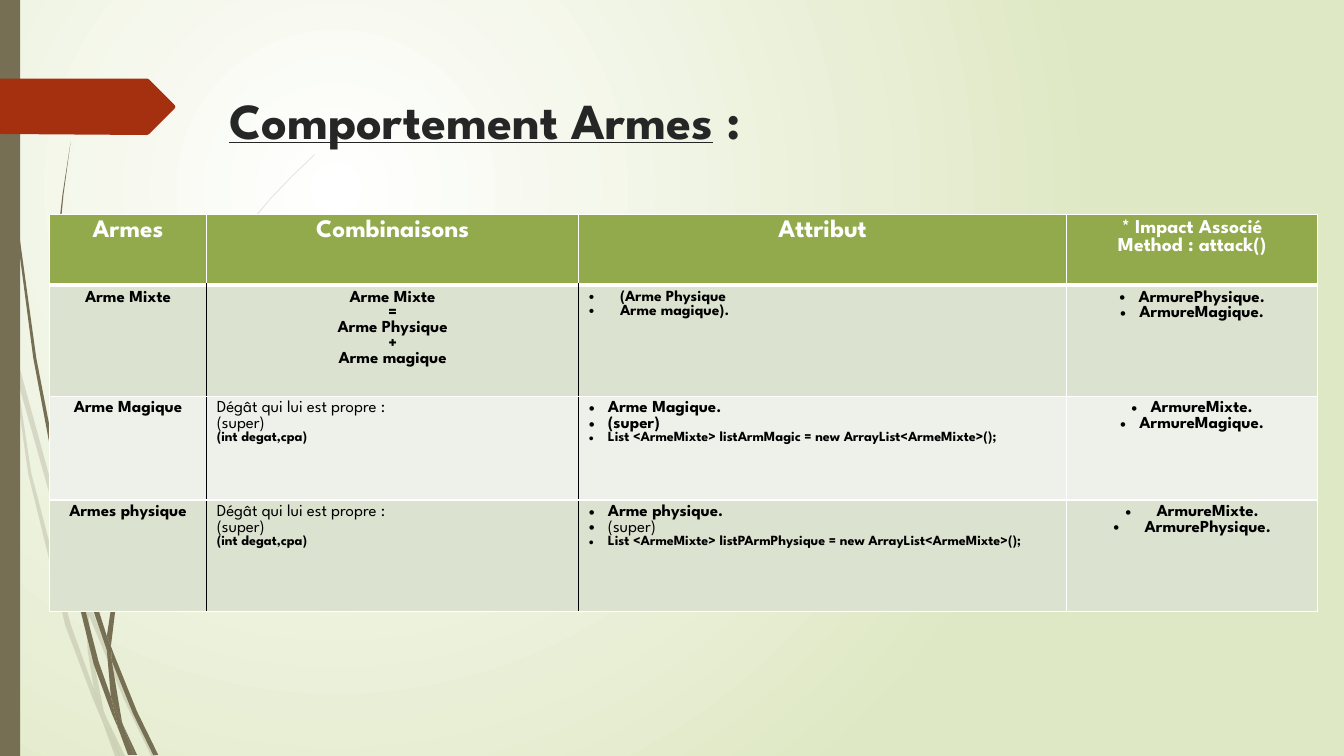
from dataclasses import dataclass

from lxml import etree
from pptx import Presentation
from pptx.dml.color import RGBColor
from pptx.enum.shapes import MSO_SHAPE
from pptx.enum.text import MSO_ANCHOR, MSO_AUTO_SIZE, PP_ALIGN
from pptx.oxml.ns import qn
from pptx.util import Inches, Pt

RECTANGLE = MSO_SHAPE.RECTANGLE
BOTTOM = MSO_ANCHOR.BOTTOM
NO_AUTOFIT = MSO_AUTO_SIZE.NONE
LEFT, CENTER = PP_ALIGN.LEFT, PP_ALIGN.CENTER
TITLE_ONLY = 5


@dataclass(frozen=True)
class Theme:
    font: str = "League Spartan"
    title: str = "262626"
    text: str = "000000"
    white: str = "FFFFFF"
    glow_edge: str = "DFE8C4"
    stem: str = "766F54"
    arrow: str = "A53010"
    header: str = "92AA4C"
    bands: tuple = ("DCE2D0", "EEF1E9")
    title_size: int = 36
    header_size: int = 18
    subheader_size: int = 14
    body_size: int = 12
    list_size: int = 11
    code_size: int = 10


THEME = Theme()
SLIDE_SIZE = (13.33, 7.5)
TITLE_BOX = (1.03, 0.8, 7.56, 0.73)
TABLE_CORNER = (0.49, 2.13)
COLUMNS = (1.56, 3.69, 4.84, 2.49)
ROWS = (0.7, 1.1, 1.03, 1.11)
NARROW, WIDE = 0.19, 0.31  # bullet indents

ARROW = "0,.78 1.46,.78 1.48,.79 1.73,1.04 1.74,1.06 1.73,1.08 1.48,1.33 1.46,1.34 0,1.33"

# Outlines of the stems, in inches
PALE_STEMS = (
    ".11,3.5 .09,3.22 0,2.82 0,2.99 .1,3.44",
    ".58,5.22 .84,5.99 .85,5.86 .62,5.2 .14,3.45 .17,3.76",
    ".92,6.07 .88,5.96 .88,6.1 1.23,6.94 1.5,7.5 1.55,7.5 1.27,6.92",
    "1.19,7.5 1.24,7.5 1.05,7.11",
    ".93,6.83 .7,6.19 .31,4.69 .17,3.76 .11,3.5 .28,4.7 .65,6.21 .92,6.93 1.01,7.14 .99,7.07",
    ".84,5.99 .87,6.46 .93,6.83 .96,6.92 1.05,7.11 1.03,7.06 .91,6.46 .88,6.1 .88,6.08",
    ".88,5.84 .96,5.22 1.1,4.62 1.33,4.04 1.6,3.49 1.93,2.95 2.29,2.45 2.68,1.98 2.9,1.75 "
    "3.12,1.54 3.12,1.53 2.89,1.75 2.68,1.97 2.28,2.44 1.91,2.94 1.58,3.48 1.3,4.03 "
    "1.07,4.61 .92,5.21 .85,5.84 .85,5.86 .88,5.96",
    "1.01,7.14 1.14,7.5 1.19,7.5",
    ".88,6.08 .88,6.1 .88,5.96 .85,5.86 .84,5.99",
    ".96,6.92 .93,6.83 .99,7.07 1.01,7.14 1.19,7.5 1.05,7.11",
)
DARK_STEMS = (
    ".07,1.1 .17,2.33 .33,3.55 .56,4.77 .57,4.81 .55,4.57 .55,4.53 .36,3.55 .19,2.32 "
    ".08,1.09 .05,.48 .04,0 .03,0 .04,.48",
    ".88,5.92 1.06,6.45 1.06,6.31 .93,5.9 .6,4.72 .64,5.05",
    "1.13,6.49 1.1,6.41 1.11,6.56 1.32,7.08 1.52,7.49 1.57,7.49 1.36,7.06",
    "1.1,6.91 .98,6.57 .72,5.56 .64,5.05 .57,4.77 .68,5.57 .93,6.59 1.11,7.08 1.17,7.22 1.16,7.17",
    ".6,4.72 .58,4.53 .54,3.49 .58,2.45 .63,1.93 .7,1.41 .62,1.93 .56,2.45 .52,3.49 .55,4.49",
    "1.33,7.49 1.36,7.49 1.22,7.19",
    ".57,4.77 .64,5.05 .6,4.72 .55,4.49 .55,4.53",
    "1.11,6.33 1.16,5.92 1.25,5.52 1.4,5.13 1.58,4.76 1.8,4.4 2.05,4.06 2.31,3.74 2.45,3.59 "
    "2.61,3.44 2.6,3.44 2.45,3.58 2.31,3.73 2.04,4.05 1.78,4.39 1.56,4.74 1.37,5.12 "
    "1.22,5.51 1.12,5.91 1.06,6.31 1.1,6.41",
    "1.17,7.22 1.27,7.49 1.31,7.49",
    "1.06,6.45 1.1,6.91 1.16,7.06 1.22,7.19 1.21,7.16 1.11,6.56 1.09,6.51",
    "1.06,6.45 1.09,6.51 1.11,6.56 1.1,6.41 1.06,6.31",
    "1.16,7.06 1.1,6.91 1.16,7.17 1.17,7.22 1.3,7.49 1.33,7.49 1.22,7.19",
)


@dataclass(frozen=True)
class Line:
    """One paragraph of a cell; an indent above zero gives it a bullet."""
    text: str
    size: int = THEME.body_size
    bold: bool = True
    align: int = CENTER
    indent: float = 0


def centred(*texts, size=THEME.body_size, indent=0):
    return [Line(text, size, indent=indent) for text in texts]


def own_damage():
    return [Line("Dégât qui lui est propre :", bold=False, align=LEFT),
            Line("(super)", bold=False, align=LEFT),
            Line("(int degat,cpa)", THEME.code_size, align=LEFT)]


def attributes(weapon, list_name, super_bold):
    code = f"List <ArmeMixte> {list_name} = new ArrayList<ArmeMixte>();"
    return [Line(weapon, align=LEFT, indent=NARROW),
            Line("(super)", bold=super_bold, align=LEFT, indent=NARROW),
            Line(code, THEME.code_size, align=LEFT, indent=NARROW)]


WEAPONS = (
    [*(centred(head, size=THEME.header_size) for head in ("Armes", "Combinaisons", "Attribut")),
     centred("* Impact Associé", "Method : attack()", size=THEME.subheader_size)],
    [centred("Arme Mixte"),
     centred("Arme Mixte", "=", "Arme Physique", "+", "Arme magique"),
     [Line(text, THEME.list_size, align=LEFT, indent=WIDE)
      for text in ("(Arme Physique", "Arme magique).")],
     centred("ArmurePhysique.", "ArmureMagique.", indent=NARROW)],
    [centred("Arme Magique"), own_damage(),
     attributes("Arme Magique.", "listArmMagic", True),
     centred("ArmureMixte.", "ArmureMagique.", indent=NARROW)],
    [centred("Armes physique"), own_damage(),
     attributes("Arme physique.", "listPArmPhysique", False),
     centred("ArmureMixte.", "ArmurePhysique.", indent=WIDE)],
)


def rgb(colour):
    return RGBColor.from_string(colour)


def style_font(font, size, colour, bold=True):
    font.name, font.size, font.bold = THEME.font, Pt(size), bold
    font.color.rgb = rgb(colour)


def paint(shape, colour, alpha=100):
    """Flat fill without line or shadow; alpha is in percent."""
    shape.shadow.inherit = False
    shape.fill.solid()
    shape.fill.fore_color.rgb = rgb(colour)
    shape.line.fill.background()
    if alpha < 100:
        colour_node = shape.fill._xPr.find(".//" + qn("a:srgbClr"))
        etree.SubElement(colour_node, qn("a:alpha"), val=str(alpha * 1000))


def add_outline(shapes, outline, colour, alpha=100):
    points = [tuple(Inches(float(n)) for n in pair.split(",")) for pair in outline.split()]
    builder = shapes.build_freeform(*points[0])
    builder.add_line_segments(points[1:], close=True)
    paint(builder.convert_to_shape(), colour, alpha)


def add_stems(slide, outlines, alpha=100):
    stems = slide.shapes.add_group_shape()
    for outline in outlines:
        add_outline(stems.shapes, outline, THEME.stem, alpha)


def set_glow(slide):
    """Round gradient behind everything, brightest at the upper left."""
    fill = slide.background.fill
    fill.gradient()
    for stop, colour in zip(fill.gradient_stops, (THEME.white, THEME.glow_edge)):
        stop.color.rgb = rgb(colour)
    gradient = slide.element.find(".//" + qn("a:gradFill"))
    gradient.remove(gradient.find(qn("a:lin")))
    circle = etree.SubElement(gradient, qn("a:path"), path="circle")
    etree.SubElement(circle, qn("a:fillToRect"), l="50000", t="50000", r="100000", b="100000")


def set_title(slide):
    title = slide.shapes.title
    title.left, title.top, title.width, title.height = map(Inches, TITLE_BOX)
    frame = title.text_frame
    frame.auto_size, frame.vertical_anchor, frame.word_wrap = NO_AUTOFIT, BOTTOM, True
    heading = frame.paragraphs[0]
    heading.alignment = CENTER
    style_font(heading.font, THEME.title_size, THEME.title)
    for text, underlined in (("Comportement Armes", True), (" :", False)):
        run = heading.add_run()
        run.text, run.font.underline = text, underlined


def set_borders(cell, row, column):
    body = row > 0
    borders = {"L": (body and column in (1, 2), 1), "R": (body and column in (0, 1), 1),
               "T": (False, 3 if row == 1 else 1), "B": (False, 1 if body else 3)}
    properties = cell._tc.get_or_add_tcPr()
    for side, (dark, width) in borders.items():
        line = etree.SubElement(properties, qn(f"a:ln{side}"), w=str(Pt(width)))
        fill = etree.SubElement(line, qn("a:solidFill"))
        etree.SubElement(fill, qn("a:srgbClr"), val=THEME.text if dark else THEME.white)


def write_lines(frame, lines, colour):
    for index, line in enumerate(lines):
        paragraph = frame.paragraphs[0] if index == 0 else frame.add_paragraph()
        paragraph.text, paragraph.alignment = line.text, line.align
        if line.indent:
            properties = paragraph._p.get_or_add_pPr()
            properties.set("marL", str(Inches(line.indent)))
            properties.set("indent", str(-Inches(line.indent)))
            etree.SubElement(properties, qn("a:buFont"), typeface="Arial")
            etree.SubElement(properties, qn("a:buChar"), char="•")
        style_font(paragraph.font, line.size, colour, line.bold)


def add_weapon_table(slide):
    box = (*TABLE_CORNER, sum(COLUMNS), sum(ROWS))
    table = slide.shapes.add_table(len(ROWS), len(COLUMNS), *map(Inches, box)).table
    for column, width in zip(table.columns, COLUMNS):
        column.width = Inches(width)
    for r, (height, weapon) in enumerate(zip(ROWS, WEAPONS)):
        table.rows[r].height = Inches(height)
        for c, lines in enumerate(weapon):
            cell = table.cell(r, c)
            set_borders(cell, r, c)
            cell.fill.solid()
            cell.fill.fore_color.rgb = rgb(THEME.bands[(r - 1) % 2] if r else THEME.header)
            write_lines(cell.text_frame, lines, THEME.text if r else THEME.white)


def main():
    deck = Presentation()
    deck.slide_width, deck.slide_height = map(Inches, SLIDE_SIZE)
    slide = deck.slides.add_slide(deck.slide_layouts[TITLE_ONLY])
    set_glow(slide)
    add_stems(slide, PALE_STEMS, alpha=20)
    add_stems(slide, DARK_STEMS)
    edge = slide.shapes.add_shape(RECTANGLE, 0, 0, Inches(0.2), deck.slide_height)
    paint(edge, THEME.stem)
    add_outline(slide.shapes, ARROW, THEME.arrow)
    set_title(slide)
    add_weapon_table(slide)
    deck.save("out.pptx")


if __name__ == "__main__":
    main()
